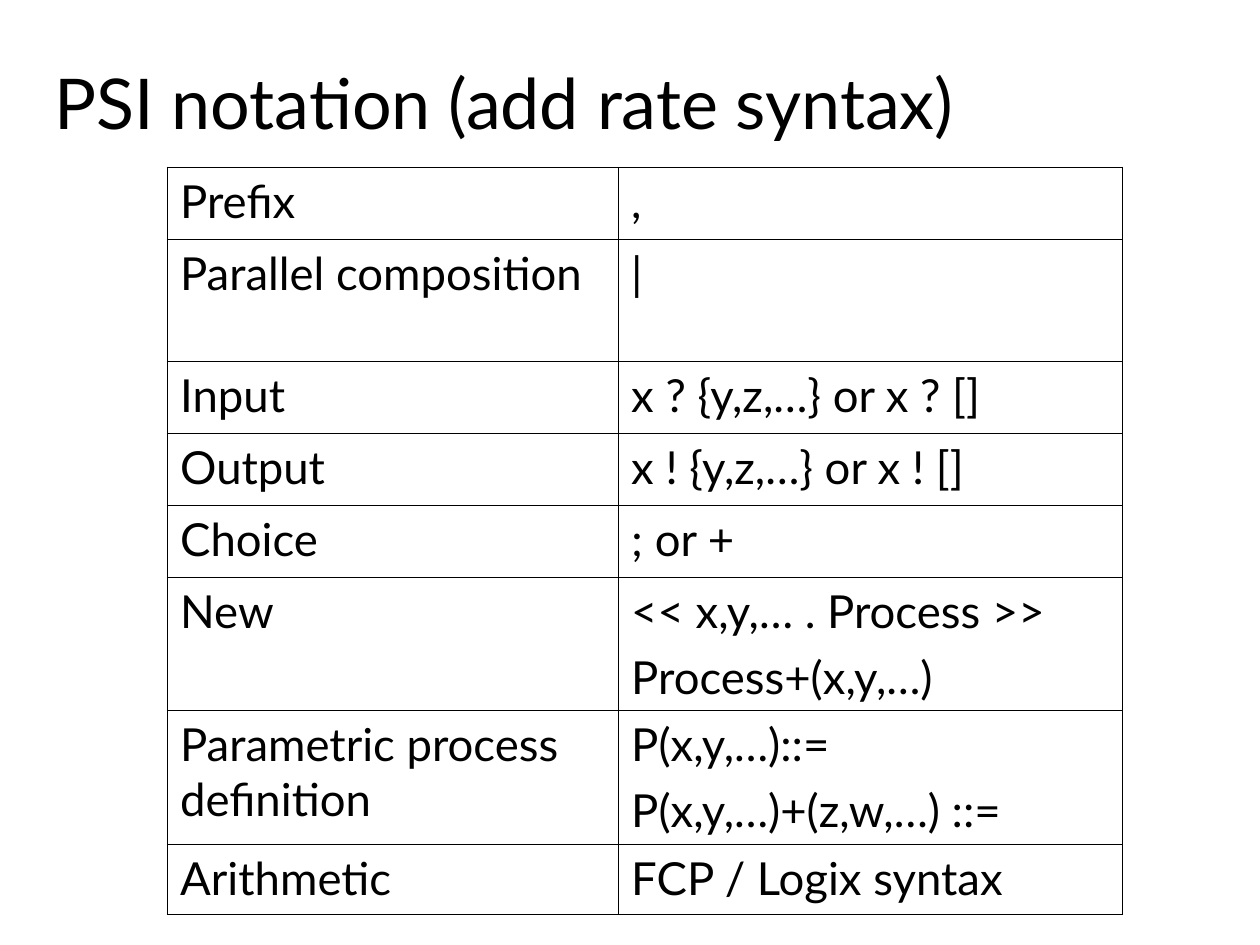
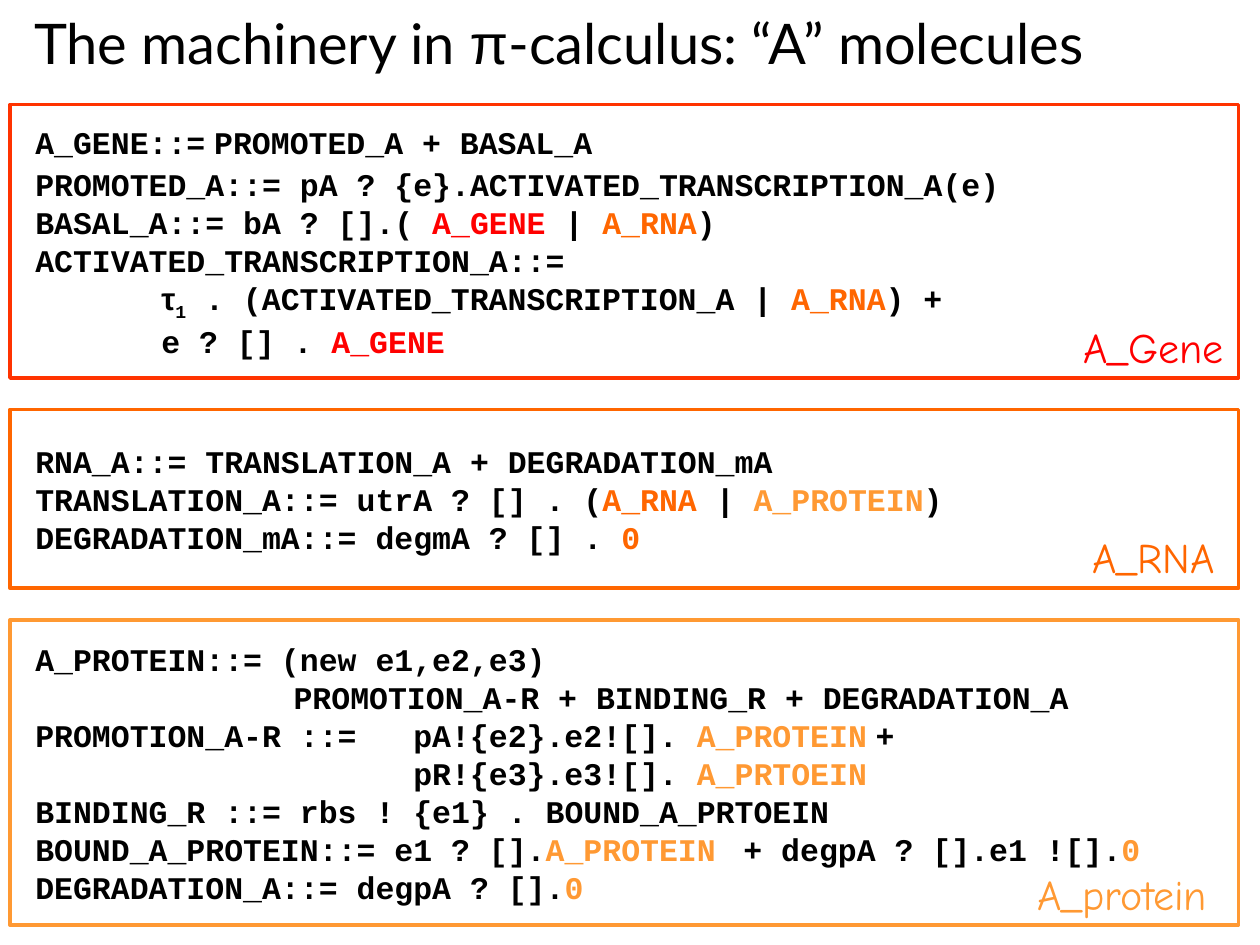
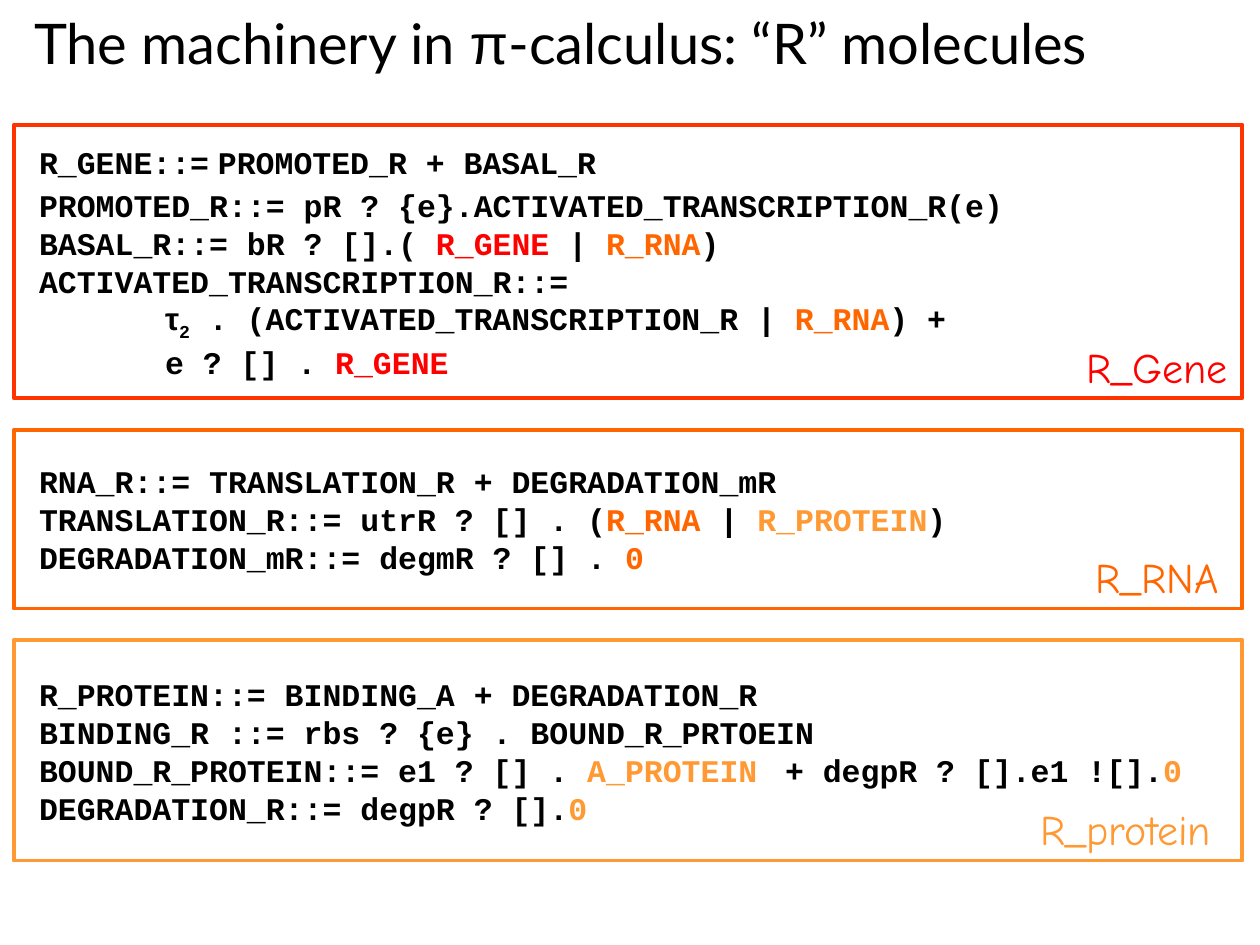
"""Build three slides on PSI notation and the pi-calculus gene machinery."""
from lxml.etree import SubElement
from pptx import Presentation
from pptx.dml.color import RGBColor
from pptx.enum.shapes import MSO_SHAPE
from pptx.enum.text import MSO_ANCHOR, MSO_AUTO_SIZE, PP_ALIGN
from pptx.oxml.ns import qn
from pptx.util import Inches, Pt

BLACK, RED, GENE_EDGE, ORANGE, AMBER = "000000", "FF0000", "FF3300", "FF6600", "FF9933"
SANS, CODE, GREEK, HAND = "Lato", "Courier New", "Arial", "Comic Neue"

NOTATION_TITLE = ["PSI notation (add rate syntax)"]
NOTATION = [
    ("Prefix", ",", 0.57),
    ("Parallel composition", "|", 0.97),
    ("Input", "x ? {y,z,…} or x ? []", 0.57),
    ("Output", "x ! {y,z,…} or x ! []", 0.57),
    ("Choice", "; or +", 0.57),
    ("New", "<< x,y,… . Process >>\nProcess+(x,y,…)", 1.06),
    ("Parametric process definition", "P(x,y,…)::=\nP(x,y,…)+(z,w,…) ::=", 1.06),
    ("Arithmetic", "FCP / Logix syntax", 0.56),
]
NOTATION_COLUMNS = (3.58, 4)

STYLES = {
    "gene": {"color": RED},
    "rna": {"color": ORANGE},
    "protein": {"color": AMBER},
    "greek": {"font": GREEK},
    "sub": {"baseline": -25000},
}
NARROW = ("greek", " ")


def gene_code(m, rate):
    return [
        [f"{m}_GENE::=", NARROW, f"PROMOTED_{m} + BASAL_{m}"],
        [f"PROMOTED_{m}::= p{m} ? {{e}}.ACTIVATED_TRANSCRIPTION_{m}(e)"],
        [f"BASAL_{m}::= b{m} ? [].( ", ("gene", f"{m}_GENE "), "| ", ("rna", f"{m}_RNA"), ")"],
        [f"ACTIVATED_TRANSCRIPTION_{m}::="],
        ["\t", ("greek", "τ"), ("sub", rate), f" . (ACTIVATED_TRANSCRIPTION_{m} | ",
         ("rna", f"{m}_RNA"), ") +"],
        ["\te ? [] . ", ("gene", f"{m}_GENE")],
    ]


def rna_code(m):
    return [
        [f"RNA_{m}::= TRANSLATION_{m} + DEGRADATION_m{m}"],
        [f"TRANSLATION_{m}::= utr{m} ? [] . (", ("rna", f"{m}_RNA"), " | ",
         ("protein", f"{m}_PROTEIN"), ")"],
        [f"DEGRADATION_m{m}::= degm{m} ? [] . ", ("rna", "0")],
    ]


def protein_end(m, receive):
    return [
        [f"BOUND_{m}_PROTEIN::= e1 ? {receive}", ("protein", "A_PROTEIN "), NARROW,
         f"+ degp{m} ? [].e1 ![].", ("protein", "0")],
        [f"DEGRADATION_{m}::= degp{m} ? [].", ("protein", "0")],
    ]


A_PROTEIN = [
    ["A_PROTEIN::= (new e1,e2,e3)"],
    ["\t       PROMOTION_A-R + BINDING_R + DEGRADATION_A"],
    ["PROMOTION_A-R ::= \tpA!{e2}.e2![]. ", ("protein", "A_PROTEIN"), NARROW, "+"],
    ["\t\t\tpR!{e3}.e3![]. ", ("protein", "A_PRTOEIN")],
    ["BINDING_R ::= rbs ! {e1} . BOUND_A_PRTOEIN"],
] + protein_end("A", "[].")
R_PROTEIN = [
    ["R_PROTEIN::= BINDING_A + DEGRADATION_R"],
    ["BINDING_R ::= rbs ? {e} . BOUND_R_PRTOEIN"],
] + protein_end("R", "[] . ")

MACHINERY = [
    {"molecule": "A", "rate": "1", "protein": A_PROTEIN, "height": 2.42, "origin": (0.08, 0.83)},
    {"molecule": "R", "rate": "2", "protein": R_PROTEIN, "height": 1.75, "origin": (0.11, 0.99)},
]
PANEL_WIDTH, PANEL_GAP, LABEL_HEIGHT = 9.75, 0.25, 0.5
LINE_PITCH, EXTRA_PITCH = 21.7, 2.8
TAB_STOPS = (1, 2, 3)


def rgb(value):
    return RGBColor.from_string(value)


def style_run(run, size, font=SANS, color=BLACK, bold=False, baseline=None):
    run.font.size, run.font.name, run.font.bold = Pt(size), font, bold
    run.font.color.rgb = rgb(color)
    if baseline:
        run.font._element.set("baseline", str(baseline))


def write_runs(paragraph, pieces, **base):
    for piece in pieces:
        style, words = piece if isinstance(piece, tuple) else (None, piece)
        run = paragraph.add_run()
        run.text = words
        style_run(run, **{**base, **STYLES.get(style, {})})


def add_titled_slide(deck, pieces, size, box):
    slide = deck.slides.add_slide(deck.slide_layouts[5])
    title = slide.shapes.title
    title.left, title.top, title.width, title.height = map(Inches, box)
    frame = title.text_frame
    frame.auto_size, frame.vertical_anchor = MSO_AUTO_SIZE.NONE, MSO_ANCHOR.MIDDLE
    frame.paragraphs[0].alignment = PP_ALIGN.LEFT
    write_runs(frame.paragraphs[0], pieces, size=size)
    return slide


def rule_cell(cell, outer_sides):
    properties = cell._tc.get_or_add_tcPr()
    for side in "LRTB":
        width = 1.08 if side in outer_sides else 0.45
        line = SubElement(properties, qn(f"a:ln{side}"), w=str(Pt(width)))
        SubElement(SubElement(line, qn("a:solidFill")), qn("a:srgbClr"), val=BLACK)
    cell.fill.background()


def add_notation_slide(deck):
    slide = add_titled_slide(deck, NOTATION_TITLE, 40, (0.33, 0.17, 8.5, 1.27))
    heights = [row[-1] for row in NOTATION]
    size = sum(NOTATION_COLUMNS), sum(heights)
    table = slide.shapes.add_table(len(NOTATION), 2, *map(Inches, (1.33, 1.33, *size))).table
    table.first_row = table.horz_banding = False
    for column, width in zip(table.columns, NOTATION_COLUMNS):
        column.width = Inches(width)
    for r, (row, height) in enumerate(zip(table.rows, heights)):
        row.height = Inches(height)
        vertical = {0: "T", len(heights) - 1: "B"}.get(r, "")
        for c, cell in enumerate(row.cells):
            cell.text = NOTATION[r][c]
            rule_cell(cell, "LR"[c] + vertical)
            for i, paragraph in enumerate(cell.text_frame.paragraphs):
                paragraph.space_before = Pt(6.5 if i else 0)
                style_run(paragraph.runs[0], 26)


def set_tab_stops(paragraph):
    stops = SubElement(paragraph._p.get_or_add_pPr(), qn("a:tabLst"))
    for position in TAB_STOPS:
        SubElement(stops, qn("a:tab"), pos=str(Inches(position)), algn="l")


def add_panel(slide, box, edge, code):
    panel = slide.shapes.add_shape(MSO_SHAPE.RECTANGLE, *map(Inches, box))
    panel.shadow.inherit = False
    panel.fill.background()
    panel.line.color.rgb, panel.line.width = rgb(edge), Pt(2.25)
    frame = panel.text_frame
    frame.word_wrap, frame.vertical_anchor = False, MSO_ANCHOR.MIDDLE
    frame.margin_left = frame.margin_right = Inches(0.2)
    for i, pieces in enumerate(code):
        paragraph = frame.paragraphs[0] if i == 0 else frame.add_paragraph()
        set_tab_stops(paragraph)
        paragraph.alignment, paragraph.line_spacing = PP_ALIGN.LEFT, Pt(LINE_PITCH)
        has_subscript = any(piece[0] == "sub" for piece in pieces)
        follows_narrow = i == 1 and NARROW in code[0]
        paragraph.space_before = Pt(EXTRA_PITCH if has_subscript or follows_narrow else 0)
        write_runs(paragraph, pieces, size=18, font=CODE, bold=True)


def add_label(slide, words, box, color):
    label = slide.shapes.add_textbox(*map(Inches, box))
    frame = label.text_frame
    frame.word_wrap, frame.vertical_anchor = False, MSO_ANCHOR.MIDDLE
    frame.margin_left = frame.margin_right = 0
    frame.text = words
    frame.paragraphs[0].alignment = PP_ALIGN.CENTER
    style_run(frame.paragraphs[0].runs[0], 24, HAND, color)


def add_machinery_slide(deck, molecule, rate, protein, height, origin):
    title = ["The machinery in ", ("greek", "π"), f"-calculus: “{molecule}” molecules"]
    slide = add_titled_slide(deck, title, 32, (0.17, -0.08, 9.58, 0.83))
    panels = [
        ("Gene", gene_code(molecule, rate), 2.17, GENE_EDGE, RED, (8.48, 1.19)),
        ("RNA", rna_code(molecule), 1.42, ORANGE, ORANGE, (8.48, 1.19)),
        ("protein", protein, height, AMBER, AMBER, (8, 1.65)),
    ]
    left, top = origin
    for part, code, tall, edge, ink, (offset, width) in panels:
        add_panel(slide, (left, top, PANEL_WIDTH, tall), edge, code)
        label_box = left + offset, top + tall - LABEL_HEIGHT, width, LABEL_HEIGHT
        add_label(slide, f"{molecule}_{part}", label_box, ink)
        top += tall + PANEL_GAP


def main():
    deck = Presentation()
    deck.slide_width, deck.slide_height = Inches(10), Inches(7.5)
    add_notation_slide(deck)
    for machinery in MACHINERY:
        add_machinery_slide(deck, **machinery)
    deck.save("out.pptx")


if __name__ == "__main__":
    main()
